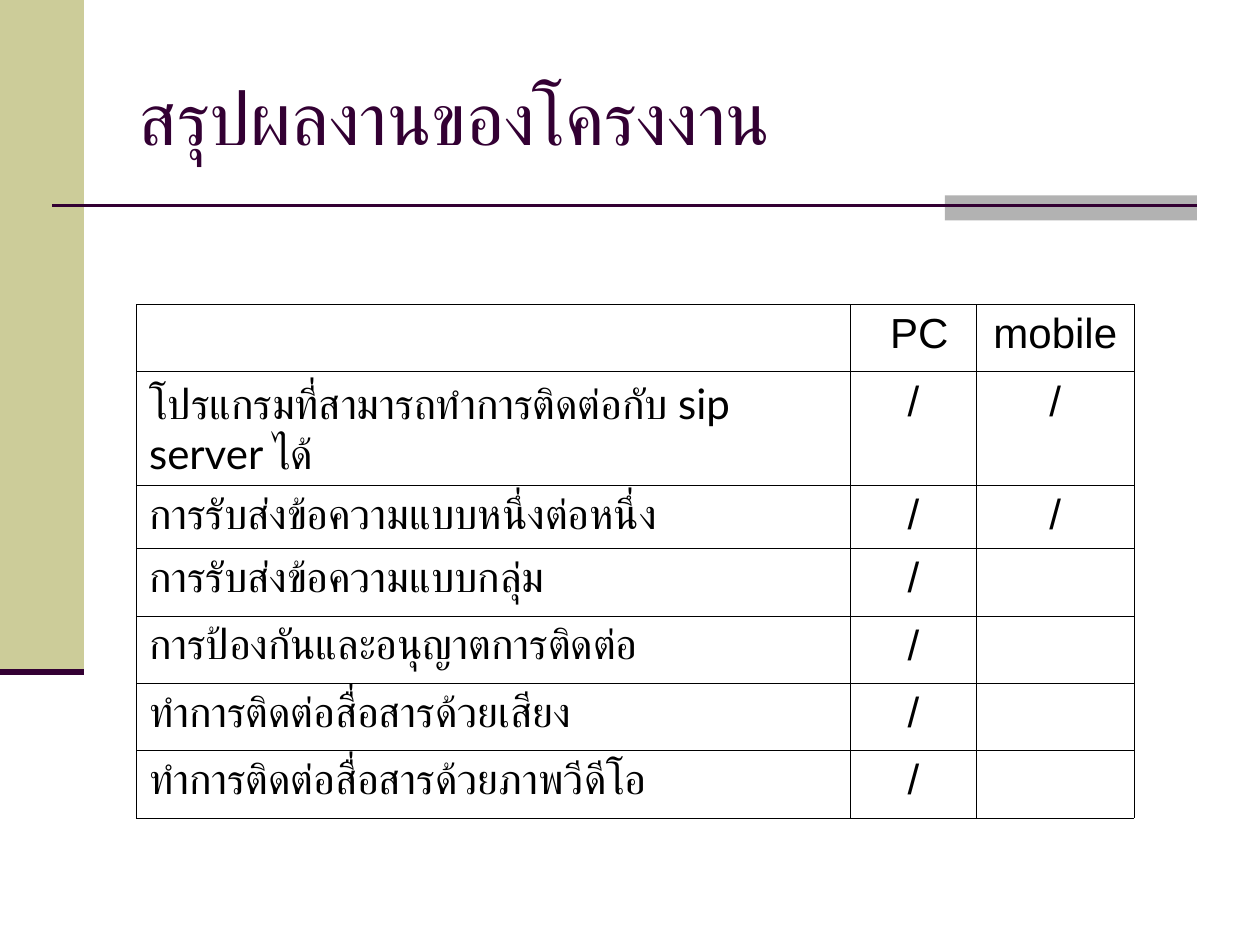
from dataclasses import dataclass

from lxml import etree
from pptx import Presentation
from pptx.dml.color import RGBColor
from pptx.enum import shapes, text
from pptx.oxml import ns
from pptx.util import Pt


@dataclass(frozen=True)
class Theme:
    sand: str = "CCCC99"
    grey: str = "B2B2B2"
    plum: str = "330033"
    ink: str = "000000"
    title_size: float = 42
    body_size: float = 24
    title_font: str = "Times New Roman"
    label_font: str = "Lato"
    mark_font: str = "Arial"
    thai_font: str = "Times New Roman"


THEME = Theme()
HEADER = ["", " PC", "mobile"]
FEATURES = [
    ("โปรแกรมที่สามารถทำการติดต่อกับ sip server ได้", True, True),
    ("การรับส่งข้อความแบบหนึ่งต่อหนึ่ง", True, True),
    ("การรับส่งข้อความแบบกลุ่ม", True, False),
    ("การป้องกันและอนุญาตการติดต่อ", True, False),
    ("ทำการติดต่อสื่อสารด้วยเสียง", True, False),
    ("ทำการติดต่อสื่อสารด้วยภาพวีดีโอ", True, False),
]
COLUMN_WIDTHS = [408, 72, 90]
ROW_HEIGHTS = [38.5, 65, 36] + [38.5] * 4


def add_run(p, words, font, size, color):
    r = p.add_run()
    r.text = words
    r.font.name = font
    r.font.size = Pt(size)
    r.font.color.rgb = RGBColor.from_string(color)
    etree.SubElement(r.font._element, ns.qn("a:cs"), typeface=THEME.thai_font)


def add_block(s, left, top, width, height, color):
    sp = s.shapes.add_shape(shapes.MSO_SHAPE.RECTANGLE, Pt(left), Pt(top), Pt(width), Pt(height))
    sp.shadow.inherit = False
    sp.fill.solid()
    sp.fill.fore_color.rgb = RGBColor.from_string(color)
    sp.line.fill.background()


def add_rule(s, left, right, y, weight):
    line = s.shapes.add_connector(shapes.MSO_CONNECTOR.STRAIGHT, Pt(left), Pt(y), Pt(right), Pt(y))
    line.line.color.rgb = RGBColor.from_string(THEME.plum)
    line.line.width = Pt(weight)
    etree.SubElement(line._element.spPr, ns.qn("a:effectLst"))


def add_side_band(s, left, top, width, height):
    add_block(s, left, top, width, height, THEME.sand)
    add_rule(s, left, left + width, top + height, 3.5)


def add_title_rule(s, left, top, width, height):
    tab_width = 144
    add_block(s, left + width - tab_width, top, tab_width, height, THEME.grey)
    add_rule(s, left, left + width, top + 0.4 * height, 1.5)


def place_title(s, left, top, width, height, words):
    sp = s.shapes.title
    sp.left, sp.top, sp.width, sp.height = Pt(left), Pt(top), Pt(width), Pt(height)
    tf = sp.text_frame
    tf.vertical_anchor = text.MSO_ANCHOR.MIDDLE
    tf.auto_size = text.MSO_AUTO_SIZE.NONE
    p = tf.paragraphs[0]
    p.alignment = text.PP_ALIGN.LEFT
    add_run(p, words, THEME.title_font, THEME.title_size, THEME.plum)


def set_borders(cell):
    props = cell._tc.get_or_add_tcPr()
    for index, side in enumerate(("lnL", "lnR", "lnT", "lnB")):
        ln = etree.Element(ns.qn(f"a:{side}"), w=str(Pt(0.45)))
        fill = etree.SubElement(ln, ns.qn("a:solidFill"))
        etree.SubElement(fill, ns.qn("a:srgbClr"), val=THEME.ink)
        props.insert(index, ln)


def fill_cell(cell, words, is_label):
    cell.fill.background()
    set_borders(cell)
    p = cell.text_frame.paragraphs[0]
    p.alignment = text.PP_ALIGN.LEFT if is_label else text.PP_ALIGN.CENTER
    if words:
        font = THEME.label_font if is_label else THEME.mark_font
        add_run(p, words, font, THEME.body_size, THEME.ink)


def add_feature_table(s, left, top):
    rows = [HEADER]
    for label, *support in FEATURES:
        rows.append([label] + ["/" if supported else "" for supported in support])
    table = s.shapes.add_table(
        len(rows), len(HEADER), Pt(left), Pt(top), Pt(sum(COLUMN_WIDTHS)), Pt(sum(ROW_HEIGHTS))
    ).table
    table.first_row = table.horz_banding = False
    for column, width in zip(table.columns, COLUMN_WIDTHS):
        column.width = Pt(width)
    for row, height, values in zip(table.rows, ROW_HEIGHTS, rows):
        row.height = Pt(height)
        for index, (cell, words) in enumerate(zip(row.cells, values)):
            fill_cell(cell, words, index == 0)


def main():
    prs = Presentation()
    prs.slide_width, prs.slide_height = Pt(720), Pt(540)
    s = prs.slides.add_slide(prs.slide_layouts[5])
    add_side_band(s, 0, 0, 48, 384)
    add_title_rule(s, 30, 111.6, 654, 14.4)
    place_title(s, 72, 21.6, 612, 90, "สรุปผลงานของโครงงาน")
    add_feature_table(s, 78, 174)
    prs.save("out.pptx")


if __name__ == "__main__":
    main()
